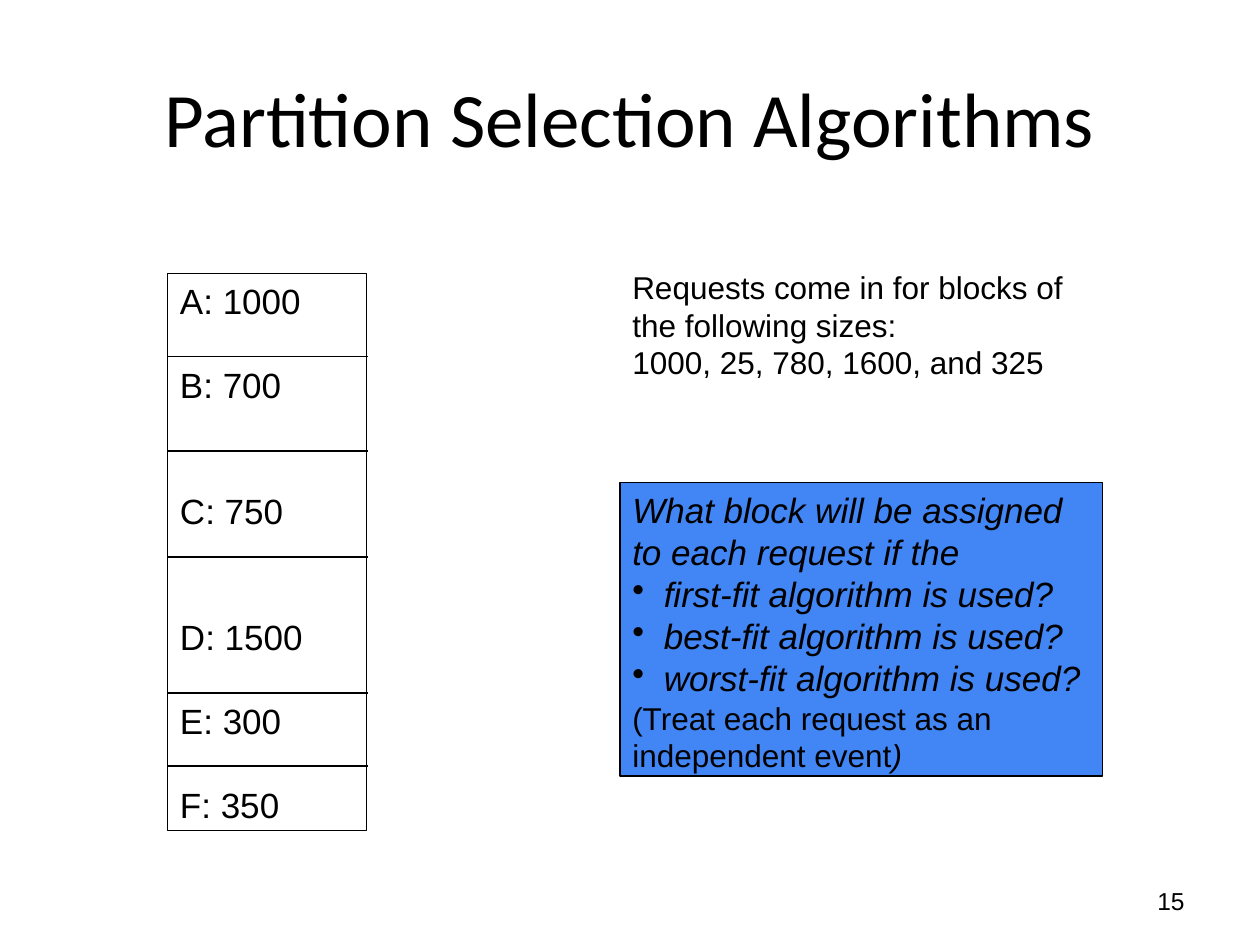
"""Build a slide on partition selection algorithms."""
import pptx
import pptx.dml.color
import pptx.enum.shapes
import pptx.enum.text
import pptx.oxml.ns
import pptx.util
from lxml import etree

Inches = pptx.util.Inches
Pt = pptx.util.Pt
ALIGN = pptx.enum.text.PP_ALIGN
ANCHOR = pptx.enum.text.MSO_ANCHOR
COLORS = {"ink": "000000", "question": "4285F4"}
LINE_HEIGHTS = {14: 16.5, 18: 21.5, 20: 24}


def rgb(name):
    """Return the named colour."""
    return pptx.dml.color.RGBColor.from_string(COLORS[name])


class SlideBuilder:
    """Hold the style and the current slide, and add its elements."""

    def __init__(self, presentation, font="Arial", line_width=0.75):
        """Add a title-only slide."""
        self.slide = presentation.slides.add_slide(presentation.slide_layouts[5])
        self.font = font
        self.line_width = Pt(line_width)

    def set_font(self, paragraph, size, name=None, italic=False):
        """Format the font of a paragraph."""
        font = paragraph.font
        font.name = name or self.font
        font.size = Pt(size)
        font.italic = italic
        font.color.rgb = rgb("ink")

    def title(self, text, left, top, width, height):
        """Place and fill the title."""
        shape = self.slide.shapes.title
        shape.left, shape.top = Inches(left), Inches(top)
        shape.width, shape.height = Inches(width), Inches(height)
        shape.text_frame.text = text
        shape.text_frame.vertical_anchor = ANCHOR.MIDDLE
        paragraph = shape.text_frame.paragraphs[0]
        paragraph.alignment = ALIGN.CENTER
        self.set_font(paragraph, 44, "Calibri")

    def fill_text(self, shape, lines, size, align=ALIGN.LEFT, anchor=ANCHOR.TOP):
        """Fill a shape with paragraphs and return them."""
        frame = shape.text_frame
        frame.word_wrap = True
        frame.vertical_anchor = anchor
        frame.text = "\n".join(lines)
        for paragraph in frame.paragraphs:
            paragraph.alignment = align
            paragraph.line_spacing = Pt(LINE_HEIGHTS[size])
            self.set_font(paragraph, size)
        return frame.paragraphs

    def text(self, lines, left, top, width, height, size, **layout):
        """Add a text box."""
        box = self.slide.shapes.add_textbox(
            Inches(left), Inches(top), Inches(width), Inches(height))
        return self.fill_text(box, lines, size, **layout)

    def box(self, lines, left, top, width, height, size, fill=None):
        """Add an outlined rectangle with text."""
        shape = self.slide.shapes.add_shape(
            pptx.enum.shapes.MSO_SHAPE.RECTANGLE,
            Inches(left), Inches(top), Inches(width), Inches(height))
        shape.shadow.inherit = False
        if fill:
            shape.fill.solid()
            shape.fill.fore_color.rgb = rgb(fill)
        else:
            shape.fill.background()
        shape.line.color.rgb = rgb("ink")
        shape.line.width = self.line_width
        return self.fill_text(shape, lines, size)

    def divider(self, left, right, y):
        """Add a horizontal line."""
        line = self.slide.shapes.add_connector(
            pptx.enum.shapes.MSO_CONNECTOR.STRAIGHT,
            Inches(left), Inches(y), Inches(right), Inches(y))
        line.line.color.rgb = rgb("ink")
        line.line.width = self.line_width
        etree.SubElement(line._element.spPr, pptx.oxml.ns.qn("a:effectLst"))

    def bullet(self, paragraph, indent=0.25):
        """Give a paragraph a hanging bullet."""
        properties = paragraph._p.get_or_add_pPr()
        properties.set("marL", str(Inches(indent)))
        properties.set("indent", str(-Inches(indent)))
        mark = etree.Element(pptx.oxml.ns.qn("a:buChar"), char="•")
        properties.find(pptx.oxml.ns.qn("a:defRPr")).addprevious(mark)


def main():
    """Build and save the presentation."""
    presentation = pptx.Presentation()
    presentation.slide_width = Inches(10)
    presentation.slide_height = Inches(7.5)
    builder = SlideBuilder(presentation)
    builder.title("Partition Selection Algorithms", 0.5, 0.3, 9, 1.25)
    builder.text(["15"], 7.17, 6.95, 2.33, 0.4, 14,
                 align=ALIGN.RIGHT, anchor=ANCHOR.MIDDLE)

    partitions = [("A: 1000", 0), ("B: 700", 1), ("C: 750", 2),
                  ("D: 1500", 2), ("E: 300", 1), ("F: 350", 1)]
    labels = builder.box([name for name, gap in partitions],
                         1.33, 2.17, 1.58, 4.42, 20)
    for label, (name, gap) in zip(labels, partitions):
        label.space_before = Pt(gap * LINE_HEIGHTS[20])
    for y in (2.83, 3.58, 4.42, 5.5, 6.08):
        builder.divider(1.33, 2.92, y)

    builder.text(["Requests come in for blocks of", "the following sizes:",
                  "1000, 25, 780, 1600, and 325"], 4.92, 2.08, 3.67, 1.17, 18)

    algorithms = ["first-fit", "best-fit", "worst-fit"]
    question = builder.box(
        ["What block will be assigned", "to each request if the",
         *[f"{name} algorithm is used?" for name in algorithms],
         "(Treat each request as an", "independent event"],
        4.92, 3.83, 3.83, 2.33, 20, fill="question")
    for paragraph in question[:5]:
        paragraph.font.italic = True
    for paragraph in question[2:5]:
        builder.bullet(paragraph)
    for paragraph in question[5:]:
        builder.set_font(paragraph, 18)
        paragraph.line_spacing = Pt(LINE_HEIGHTS[18])
    closing = question[-1].add_run()
    closing.text = ")"
    closing.font.italic = True
    presentation.save("out.pptx")


if __name__ == "__main__":
    main()
